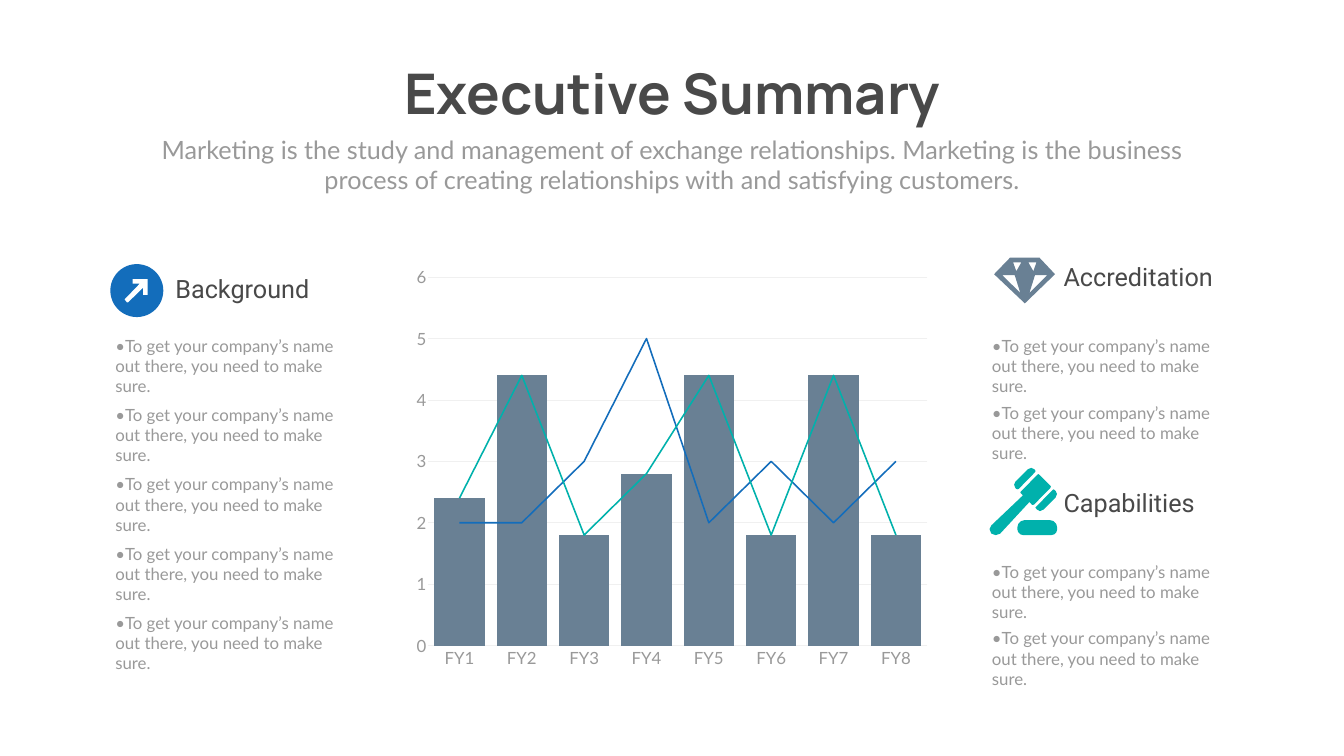
from lxml import etree
from pptx import Presentation
from pptx.chart.data import CategoryChartData
from pptx.dml.color import RGBColor
from pptx.enum.chart import XL_CHART_TYPE, XL_MARKER_STYLE, XL_TICK_MARK
from pptx.enum.shapes import MSO_SHAPE
from pptx.enum.text import MSO_AUTO_SIZE, PP_ALIGN
from pptx.oxml.ns import qn
from pptx.util import Cm, Pt

COLUMN = XL_CHART_TYPE.COLUMN_CLUSTERED
NO_MARKER = XL_MARKER_STYLE.NONE
NO_TICK = XL_TICK_MARK.NONE
OVAL = MSO_SHAPE.OVAL
ROUNDED_TOP = MSO_SHAPE.ROUND_2_SAME_RECTANGLE
GROW = MSO_AUTO_SIZE.SHAPE_TO_FIT_TEXT
LEFT, CENTER = PP_ALIGN.LEFT, PP_ALIGN.CENTER

COLORS = {
    "white": "FFFFFF", "dark": "494949", "grey": "999999", "grid": "F0F0F0",
    "slate": "698094", "blue": "136DBB", "teal": "00B1AC",
}
BULLET = "•To get your company’s name out there, you need to make sure."
SUBTITLE = (
    "Marketing is the study and management of exchange relationships. Marketing is "
    "the business process of creating relationships with and satisfying customers."
)
HEADINGS = [
    ("Background", 8.59, 13.67),
    ("Accreditation", 53.34, 13.03),
    ("Capabilities", 53.34, 24.41),
]
BULLET_STACKS = [(5.56, 16.79, 5, 3.49), (49.73, 16.79, 2, 3.36), (49.73, 28.17, 2, 3.36)]
CATEGORIES = [f"FY{year}" for year in range(1, 9)]
COLUMN_VALUES = [2.4, 4.4, 1.8, 2.8, 4.4, 1.8, 4.4, 1.8]
SERIES = [
    ("Series 1", COLUMN_VALUES),
    ("Series 2", [2, 2, 3, 5, 2, 3, 2, 3]),
    ("Series 3", COLUMN_VALUES),
]
ARROW = [
    (7.44, 14.07), (7.44, 14.86), (7.21, 14.86), (7.21, 14.5), (6.45, 15.24),
    (6.4, 15.24), (6.28, 15.09), (7.04, 14.3), (6.68, 14.3), (6.68, 14.07),
]
DIAMOND = [
    [(50.09, 13.82), (50.9, 12.98), (52.37, 12.98), (53.16, 13.82), (51.64, 15.29)],
    [(50.5, 13.87), (51.13, 13.87), (51.41, 14.76)],
    [(51.21, 13.67), (51.05, 13.23), (51.46, 13.23)],
    [(52.22, 13.23), (52.07, 13.67), (51.82, 13.23)],
    [(51.87, 14.76), (52.15, 13.87), (52.76, 13.87)],
]
GAVEL_LOWER_CAP = [
    (52.17, 25.58), (52.25, 25.68), (52.4, 25.76), (52.58, 25.68), (53.19, 25.07),
    (53.26, 24.89), (53.19, 24.74), (53.09, 24.66), (53.04, 24.69),
]
GAVEL_UPPER_CAP = [
    (51.21, 24.64), (51.26, 24.66), (51.33, 24.64), (52.15, 23.8), (52.18, 23.74),
    (52.12, 23.65), (51.96, 23.58), (51.79, 23.65), (51.16, 24.28), (51.1, 24.43),
    (51.16, 24.59),
]
GAVEL_HEAD_AND_HANDLE = [
    (51.99, 25.43), (52.04, 25.45), (52.1, 25.43), (52.93, 24.59), (52.95, 24.5),
    (52.37, 23.93), (52.32, 23.89), (52.27, 23.93), (51.44, 24.77), (51.41, 24.82),
    (51.54, 24.97), (49.96, 26.47), (49.86, 26.67), (49.95, 26.89), (50.17, 26.97),
    (50.39, 26.9), (51.87, 25.3),
]


class SlideBuilder:
    """Draws styled elements on the current slide, with lengths in centimetres."""

    def __init__(self, slide, colors):
        self.slide = slide
        self.colors = {name: RGBColor.from_string(value) for name, value in colors.items()}

    def format_font(self, font, name, size, color, bold=False):
        font.name, font.size, font.bold = name, Pt(size), bold
        font.color.rgb = self.colors[color]

    def format_line(self, line, color, width):
        line.color.rgb = self.colors[color]
        line.width = Pt(width)

    def fill_shape(self, shape, color):
        shape.shadow.inherit = False
        shape.fill.solid()
        shape.fill.fore_color.rgb = self.colors[color]
        shape.line.fill.background()

    def text(self, text, left, top, width, height, font="Lato", size=24,
             color="grey", bold=False, align=LEFT, wrap=True):
        shape = self.slide.shapes.add_textbox(Cm(left), Cm(top), Cm(width), Cm(height))
        frame = shape.text_frame
        frame.word_wrap = wrap
        frame.auto_size = GROW
        paragraph = frame.paragraphs[0]
        paragraph.alignment = align
        run = paragraph.add_run()
        run.text = text
        self.format_font(run.font, font, size, color, bold)

    def preset(self, kind, left, top, width, height, color, adjustments=()):
        shape = self.slide.shapes.add_shape(kind, Cm(left), Cm(top), Cm(width), Cm(height))
        for index, value in enumerate(adjustments):
            shape.adjustments[index] = value
        self.fill_shape(shape, color)

    def outline(self, contours, color):
        contours = [[(Cm(x), Cm(y)) for x, y in contour] for contour in contours]
        builder = self.slide.shapes.build_freeform(*contours[0][0])
        builder.add_line_segments(contours[0][1:])
        for contour in contours[1:]:
            builder.move_to(*contour[0])
            builder.add_line_segments(contour[1:])
        self.fill_shape(builder.convert_to_shape(), color)

    def format_axis(self, axis):
        axis.major_tick_mark = axis.minor_tick_mark = NO_TICK
        self.format_font(axis.tick_labels.font, "Lato", 24, "grey")

    def move_to_lines(self, chart, column_series):
        bar = chart.plots[0].series[0]._element.getparent()
        line_chart = etree.Element(qn("c:lineChart"))
        etree.SubElement(line_chart, qn("c:grouping"), val="standard")
        etree.SubElement(line_chart, qn("c:varyColors"), val="0")
        for series in column_series:
            element = series._element
            for invert in element.findall(qn("c:invertIfNegative")):
                element.remove(invert)
            line_chart.append(element)
        etree.SubElement(line_chart, qn("c:marker"), val="1")
        for axis_id in bar.findall(qn("c:axId")):
            etree.SubElement(line_chart, qn("c:axId"), val=axis_id.get("val"))
        bar.addnext(line_chart)

    def combined_chart(self, categories, series_values, left, top, width, height,
                       column_color, line_colors):
        data = CategoryChartData()
        data.categories = categories
        for name, values in series_values:
            data.add_series(name, values)
        chart = self.slide.shapes.add_chart(
            COLUMN, Cm(left), Cm(top), Cm(width), Cm(height), data).chart
        chart.has_legend = chart.has_title = False
        self.format_font(chart.font, "Calibri", 10, "grey")
        columns = chart.plots[0]
        columns.gap_width, columns.overlap, columns.vary_by_categories = 24, -32, False
        self.move_to_lines(chart, list(columns.series)[1:])
        fill = columns.series[0].format.fill
        fill.solid()
        fill.fore_color.rgb = self.colors[column_color]
        for series, color in zip(chart.plots[1].series, line_colors):
            series.smooth = False
            series.marker.style = NO_MARKER
            self.format_line(series.format.line, color, 2.25)
        value_axis, category_axis = chart.value_axis, chart.category_axis
        self.format_axis(value_axis)
        self.format_axis(category_axis)
        value_axis.minimum_scale, value_axis.maximum_scale, value_axis.major_unit = 0, 6, 1
        value_axis.format.line.fill.background()
        value_axis.has_major_gridlines = True
        self.format_line(value_axis.major_gridlines.format.line, "grid", 0.75)
        self.format_line(category_axis.format.line, "grid", 0.75)


def main():
    presentation = Presentation()
    presentation.slide_width, presentation.slide_height = Cm(67.72), Cm(38.1)
    slide = presentation.slides.add_slide(presentation.slide_layouts[6])
    builder = SlideBuilder(slide, COLORS)

    builder.text("Executive Summary", 18.9, 2.84, 29.95, 3.68, font="Manrope", size=80,
                 color="dark", bold=True, align=CENTER, wrap=False)
    builder.text(SUBTITLE, 7.42, 6.63, 52.88, 3.33, size=36, align=CENTER)
    builder.combined_chart(CATEGORIES, SERIES, 20.45, 13.03, 26.8, 21.06,
                           "slate", ["blue", "teal"])
    for heading, left, top in HEADINGS:
        builder.text(heading, left, top, 8.28, 1.8, font="Roboto", size=36, color="dark")
    for left, top, count, step in BULLET_STACKS:
        for index in range(count):
            builder.text(BULLET, left, top + index * step, 12.62, 2.31)

    builder.preset(OVAL, 5.56, 13.31, 2.67, 2.67, "blue")
    builder.outline([ARROW], "white")
    builder.outline(DIAMOND, "slate")
    for contour in (GAVEL_LOWER_CAP, GAVEL_UPPER_CAP, GAVEL_HEAD_AND_HANDLE):
        builder.outline([contour], "teal")
    builder.preset(ROUNDED_TOP, 51.26, 26.21, 2.01, 0.76, "teal", (0.5, 0.4))

    presentation.save("out.pptx")


if __name__ == "__main__":
    main()
